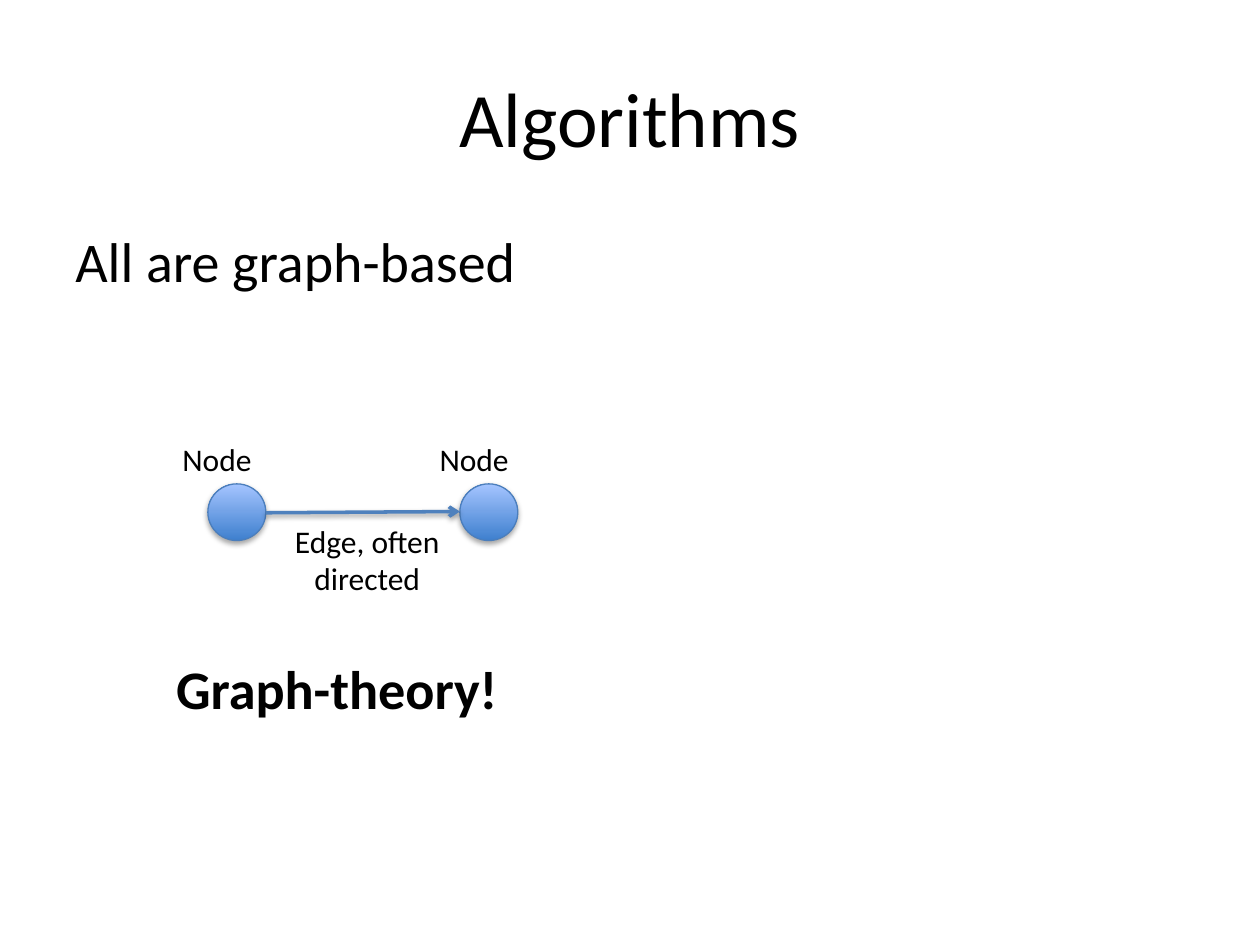
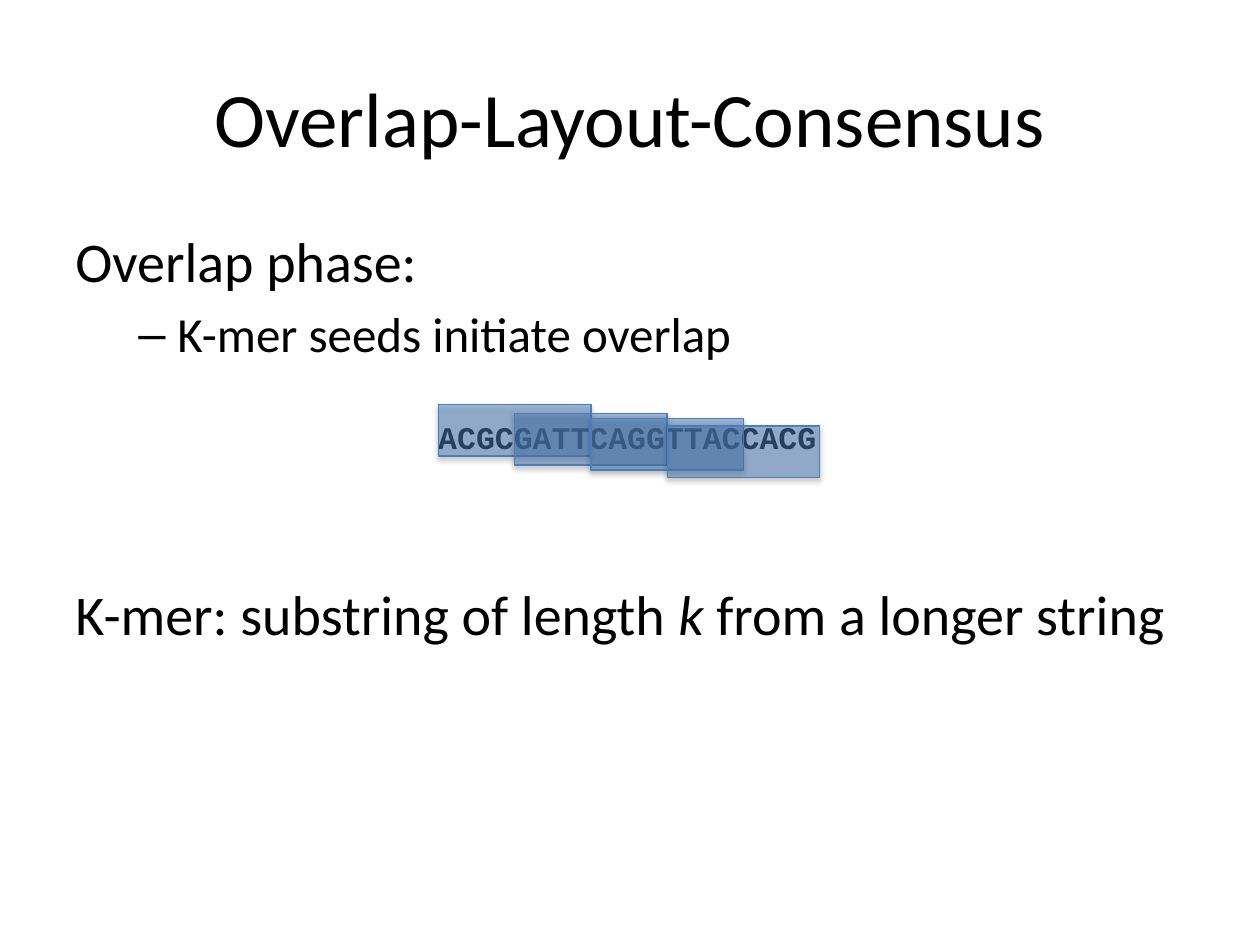
from lxml.etree import SubElement
from pptx import Presentation
from pptx.dml.color import RGBColor
from pptx.enum.shapes import MSO_CONNECTOR, MSO_SHAPE
from pptx.enum.text import MSO_ANCHOR, MSO_AUTO_SIZE, PP_ALIGN
from pptx.oxml.ns import qn
from pptx.util import Inches, Pt

COLORS = {
    "text": "000000",
    "accent": "4F81BD",
    "outline": "4B7EBC",
    "node_dark": "3F80CE",
    "node_light": "A4C4FF",
    "shadow": "000000",
}
FONT = "Calibri"
SEQUENCE_FONT = "Courier New"


def color(name):
    """Return the named colour."""
    return RGBColor.from_string(COLORS[name])


def add_span(para, text, size, font=FONT, bold=False, italic=False):
    """Append text to a paragraph, with line breaks at newlines."""
    for index, line in enumerate(text.split("\n")):
        if index:
            para.add_line_break()
        span = para.add_run()
        span.text = line
        span.font.name = font
        span.font.size = Pt(size)
        span.font.bold = bold
        span.font.italic = italic
        span.font.color.rgb = color("text")


def add_box(page, left, top, width, height, wrap=True):
    """Add an empty text box and return its text frame."""
    box = page.shapes.add_textbox(
        Inches(left), Inches(top), Inches(width), Inches(height))
    box.text_frame.word_wrap = wrap
    return box.text_frame


def add_label(page, text, place, size=18, align=PP_ALIGN.LEFT, **style):
    """Add a text box that fits its unwrapped text."""
    frame = add_box(page, *place, wrap=False)
    frame.auto_size = MSO_AUTO_SIZE.SHAPE_TO_FIT_TEXT
    para = frame.paragraphs[0]
    para.alignment = align
    add_span(para, text, size, **style)


def add_page(deck, title, lead):
    """Add a page with a title and return it with its body frame."""
    page = deck.slides.add_slide(deck.slide_layouts[6])
    frame = add_box(page, 0.5, 0.3, 9, 1.25)
    frame.vertical_anchor = MSO_ANCHOR.MIDDLE
    frame.paragraphs[0].alignment = PP_ALIGN.CENTER
    add_span(frame.paragraphs[0], title, 44)
    body = add_box(page, 0.5, 1.75, 9, 4.95)
    add_span(body.paragraphs[0], lead, 32)
    return page, body


def add_dash_item(body, text):
    """Add an indented paragraph with a dash bullet."""
    para = body.add_paragraph()
    properties = para._p.get_or_add_pPr()
    properties.set("marL", str(Inches(0.81)))
    properties.set("indent", str(Inches(-0.31)))
    para.space_before = Pt(5.6)
    SubElement(properties, qn("a:buFont"), typeface="Arial")
    SubElement(properties, qn("a:buChar"), char="–")
    add_span(para, text, 28)


def add_shadow(shape, opacity, distance):
    """Give a shape or connector a soft shadow below it."""
    effects = SubElement(shape.element.spPr, qn("a:effectLst"))
    shadow = SubElement(
        effects, qn("a:outerShdw"), blurRad=str(Pt(3.1)),
        dist=str(Pt(distance)), dir="5400000", rotWithShape="0")
    tint = SubElement(shadow, qn("a:srgbClr"), val=COLORS["shadow"])
    SubElement(tint, qn("a:alpha"), val=str(opacity * 1000))


def add_outlined_shape(page, kind, left, top, width, height):
    """Add a preset shape with the shared outline and shadow."""
    shape = page.shapes.add_shape(
        kind, Inches(left), Inches(top), Inches(width), Inches(height))
    shape.fill.background()
    shape.line.color.rgb = color("outline")
    shape.line.width = Pt(0.75)
    add_shadow(shape, 35, 1.8)
    return shape


def add_node(page, left, top):
    """Add a graph node with a vertical gradient."""
    node = add_outlined_shape(page, MSO_SHAPE.OVAL, left, top, 0.46, 0.45)
    node.fill.gradient()
    node.fill.gradient_angle = 90
    for stop, name in zip(node.fill.gradient_stops, ("node_dark", "node_light")):
        stop.color.rgb = color(name)


def add_edge(page, start, end):
    """Add an arrow between two points."""
    edge = page.shapes.add_connector(
        MSO_CONNECTOR.STRAIGHT, *map(Inches, start + end))
    edge.line.color.rgb = color("accent")
    edge.line.width = Pt(2)
    SubElement(edge.line._get_or_add_ln(), qn("a:tailEnd"), type="arrow")
    add_shadow(edge, 38, 1.6)


def add_seed(page, left, top, width):
    """Add a half-transparent k-mer window."""
    seed = add_outlined_shape(page, MSO_SHAPE.RECTANGLE, left, top, width, 0.41)
    seed.fill.solid()
    seed.fill.fore_color.rgb = color("accent")
    tint = seed.element.spPr.find(qn("a:solidFill"))[0]
    SubElement(tint, qn("a:alpha"), val="50000")


def build_algorithms(deck):
    """Build the page that introduces graphs."""
    page, _ = add_page(deck, "Algorithms", "All are graph-based")
    for left in (1.65, 3.65):
        add_node(page, left, 3.84)
    add_edge(page, (2.11, 4.07), (3.65, 4.06))
    for left in (1.35, 3.39):
        add_label(page, "Node", (left, 3.44, 0.76, 0.4))
    add_label(page, "Edge, often\ndirected", (2.23, 4.09, 1.37, 0.71),
              align=PP_ALIGN.CENTER)
    add_label(page, "Graph-theory!", (1.3, 5.15, 3.1, 0.62), size=31, bold=True)


def build_overlap(deck):
    """Build the page on k-mer seeds in the overlap phase."""
    page, body = add_page(deck, "Overlap-Layout-Consensus", "Overlap phase:")
    add_dash_item(body, "K-mer seeds initiate overlap")
    definition = body.add_paragraph()
    definition.space_before = Pt(124)
    add_span(definition, "K-mer: substring of length ", 32)
    add_span(definition, "k ", 32, italic=True)
    add_span(definition, "from a longer string", 32)
    add_label(page, "ACGCGATTCAGGTTACCACG", (3.38, 3.27, 3.23, 0.4),
              font=SEQUENCE_FONT, bold=True)
    seed_width = 1.21
    for index, top in enumerate((3.21, 3.28, 3.32, 3.38)):
        add_seed(page, 3.48 + index * seed_width / 2, top, seed_width)


def main():
    """Build and save the deck."""
    deck = Presentation()
    deck.slide_width, deck.slide_height = Inches(10), Inches(7.5)
    build_algorithms(deck)
    build_overlap(deck)
    deck.save("out.pptx")


if __name__ == "__main__":
    main()
